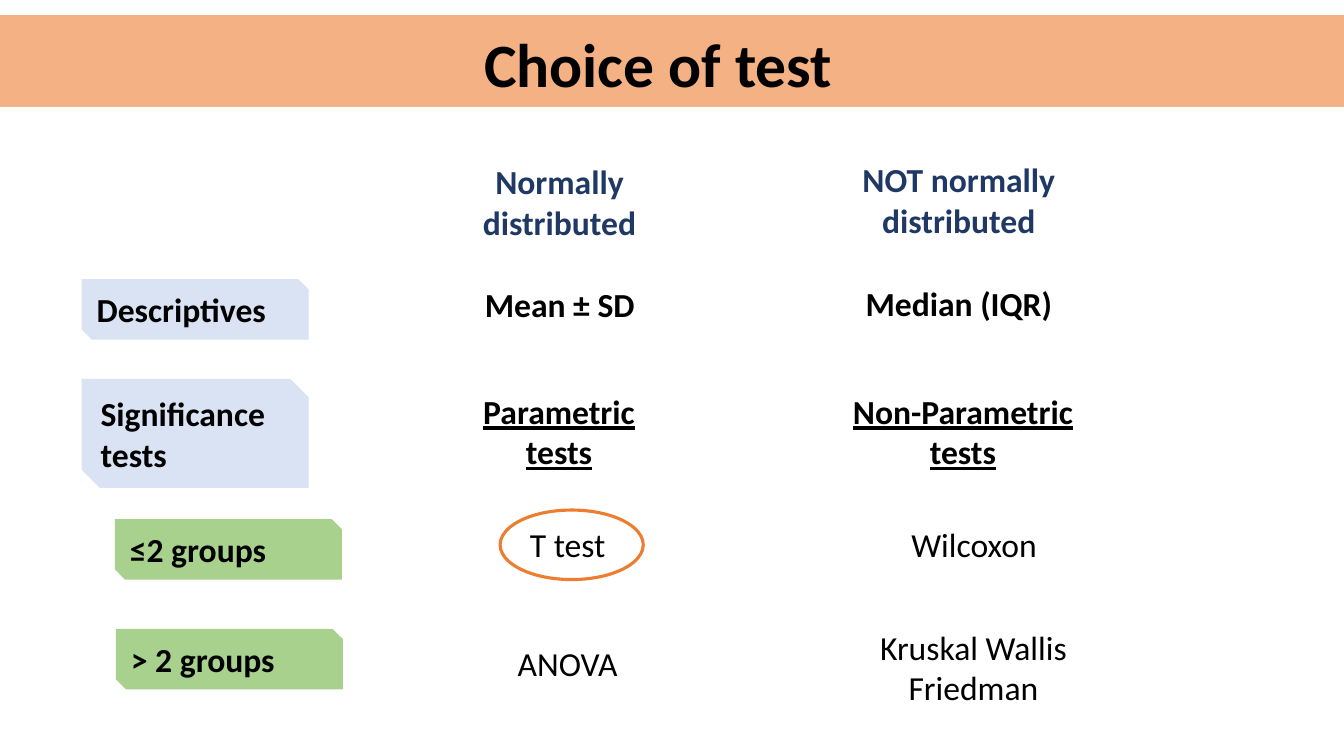
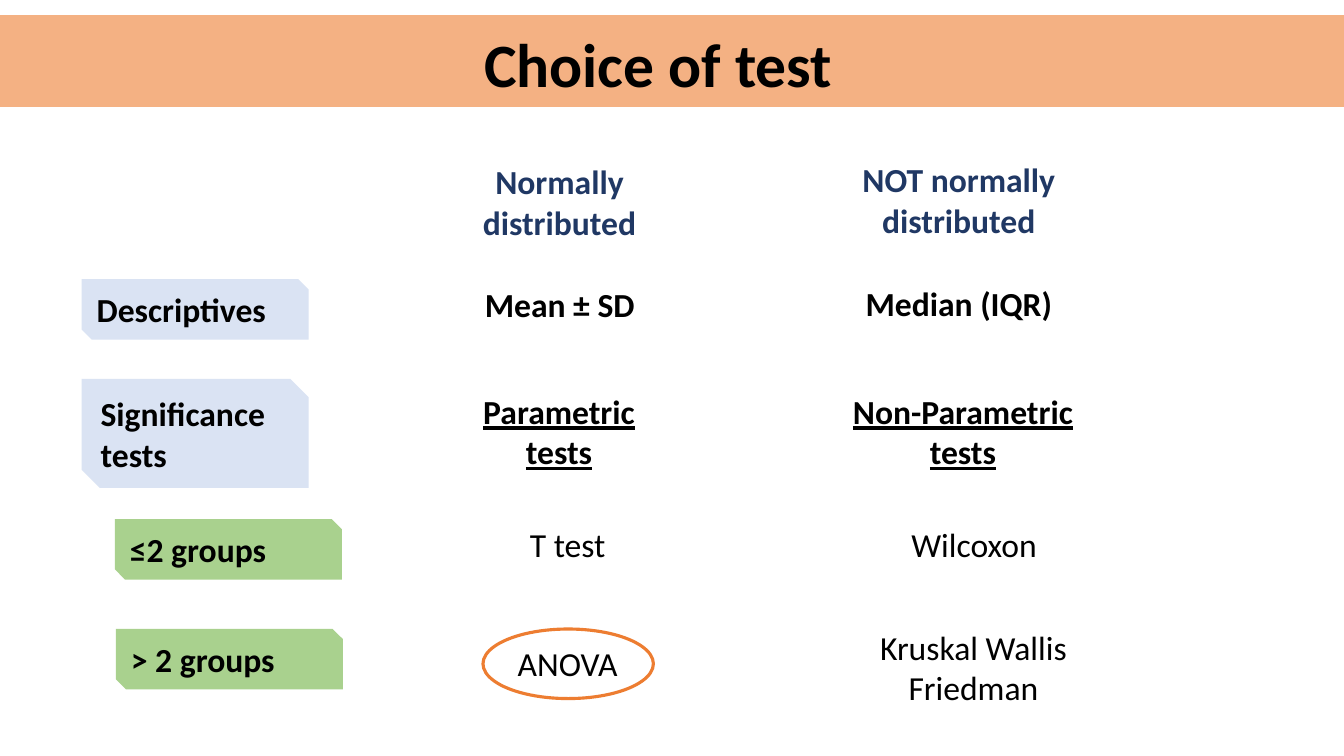
import pptx
import pptx.util
import pptx.dml.color
import pptx.enum.shapes
import pptx.enum.text

Inches = pptx.util.Inches
Pt = pptx.util.Pt
RGBColor = pptx.dml.color.RGBColor
SHAPE = pptx.enum.shapes.MSO_SHAPE
ALIGN = pptx.enum.text.PP_ALIGN
ANCHOR = pptx.enum.text.MSO_ANCHOR

PEACH = RGBColor(0xF4, 0xB1, 0x83)
NAVY = RGBColor(0x20, 0x38, 0x64)
GREEN = RGBColor(0xA9, 0xD1, 0x8E)
PALE = RGBColor(0xDA, 0xE3, 0xF3)
ORANGE = RGBColor(0xED, 0x7D, 0x31)
BLACK = RGBColor(0, 0, 0)
FONT = "Calibri"
WIDE = 13.33

HEADS = [
    ("Normally distributed", (4.3, 1.46, 2.5, 1.08)),
    ("NOT normally distributed", (8.22, 1.44, 2.58, 1.08)),
]
TAGS = [
    ("Descriptives", (0.81, 2.77, 2.25, 0.6), PALE),
    ("Significance tests", (0.81, 3.76, 2.25, 1.08), PALE),
    ("≤2 groups", (1.14, 5.15, 2.25, 0.6), GREEN),
    ("> 2 groups", (1.15, 6.24, 2.25, 0.6), GREEN),
]
STATS = [
    ("Mean ± SD", (4.71, 2.77, 1.83, 0.5), ALIGN.LEFT),
    ("Median (IQR)", (7.92, 2.76, 3.18, 0.5), ALIGN.CENTER),
]
KINDS = [
    ("Parametric tests", (4.63, 3.83, 1.83, 0.91)),
    ("Non-Parametric tests", (8.14, 3.83, 2.82, 0.91)),
]
TESTS = [
    ("T test", (4.88, 5.15, 1.5, 0.5)),
    ("Wilcoxon", (7.35, 5.15, 4.62, 0.5)),
    ("ANOVA", (4.88, 6.33, 1.5, 0.5)),
    ("Kruskal Wallis\nFriedman", (7.99, 6.17, 3.33, 0.91)),
]
RINGS = [(4.96, 5.06, 1.42, 0.69), (4.79, 6.24, 1.69, 0.69)]


def place(box):
    return [Inches(side) for side in box]


def write(shape, text, size=24, color=BLACK, bold=True, line=False,
          align=ALIGN.CENTER):
    frame = shape.text_frame
    frame.word_wrap = True
    frame.text = text
    for para in frame.paragraphs:
        para.alignment = align
        font = para.font
        font.name = FONT
        font.size = Pt(size)
        font.color.rgb = color
        font.bold = bold
        if line:
            font.underline = True
    return frame


def add_form(slide, kind, box, fill=None, line=None):
    shape = slide.shapes.add_shape(kind, *place(box))
    shape.shadow.inherit = False
    if fill is None:
        shape.fill.background()
    else:
        shape.fill.solid()
        shape.fill.fore_color.rgb = fill
    if line is None:
        shape.line.fill.background()
    else:
        shape.line.color.rgb = line
        shape.line.width = Pt(2.25)
    return shape


def add_snip(slide, text, box, fill=None, **style):
    shape = add_form(slide, SHAPE.SNIP_2_DIAG_RECTANGLE, box, fill)
    write(shape, text, **style)


def add_text(slide, text, box, **style):
    return write(slide.shapes.add_textbox(*place(box)), text, **style)


def add_title(slide, text):
    add_form(slide, SHAPE.RECTANGLE, (0, 0.15, WIDE, 0.91), PEACH)
    frame = add_text(slide, text, (2.28, 0.24, 8.5, 0.86), size=44)
    frame.vertical_anchor = ANCHOR.MIDDLE
    frame.paragraphs[0].line_spacing = 0.9


def add_grid(slide):
    for text, box in HEADS:
        add_snip(slide, text, box, color=NAVY)
    for text, box, fill in TAGS:
        add_snip(slide, text, box, fill, align=ALIGN.LEFT)
    for text, box, align in STATS:
        add_text(slide, text, box, align=align)
    for text, box in KINDS:
        add_text(slide, text, box, line=True)
    for text, box in TESTS:
        add_text(slide, text, box, bold=False)


def main():
    deck = pptx.Presentation()
    deck.slide_width = Inches(WIDE)
    deck.slide_height = Inches(7.5)
    for ring in RINGS:
        slide = deck.slides.add_slide(deck.slide_layouts[6])
        add_title(slide, "Choice of test")
        add_grid(slide)
        add_form(slide, SHAPE.OVAL, ring, line=ORANGE)
    deck.save("out.pptx")


main()
